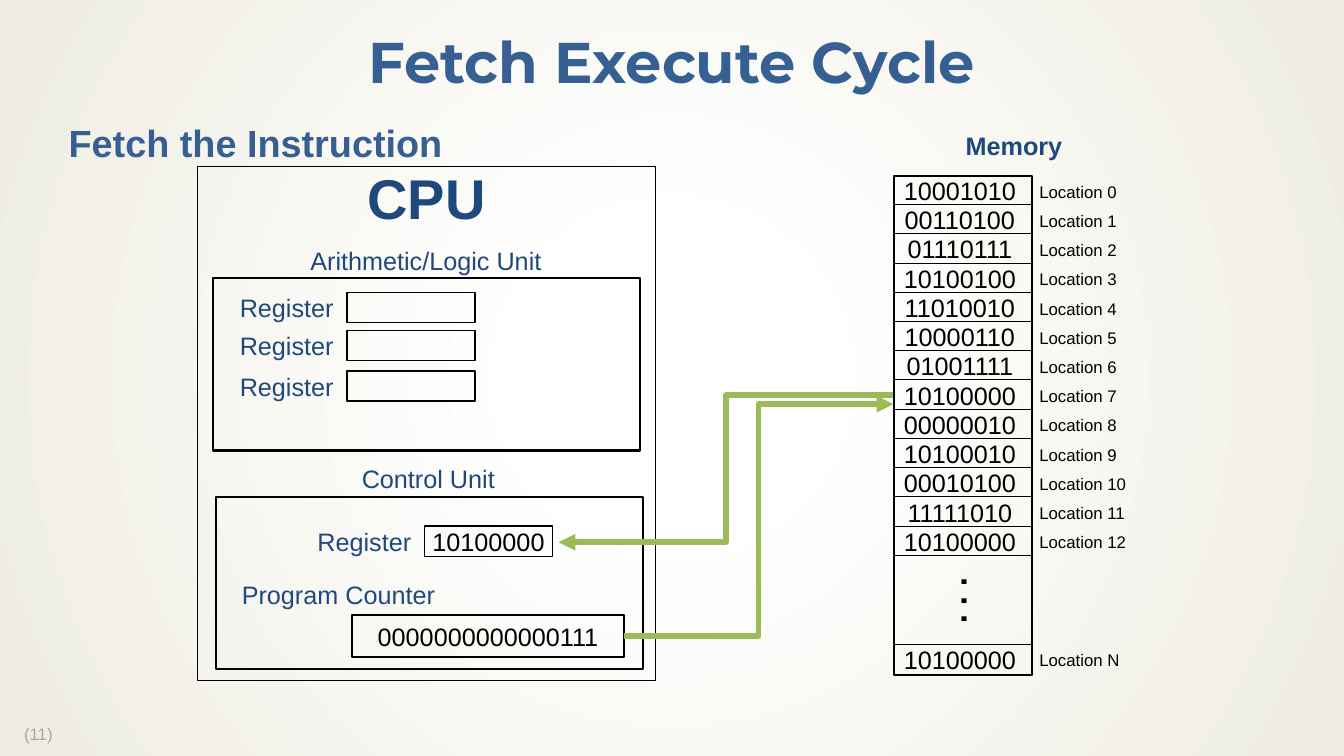
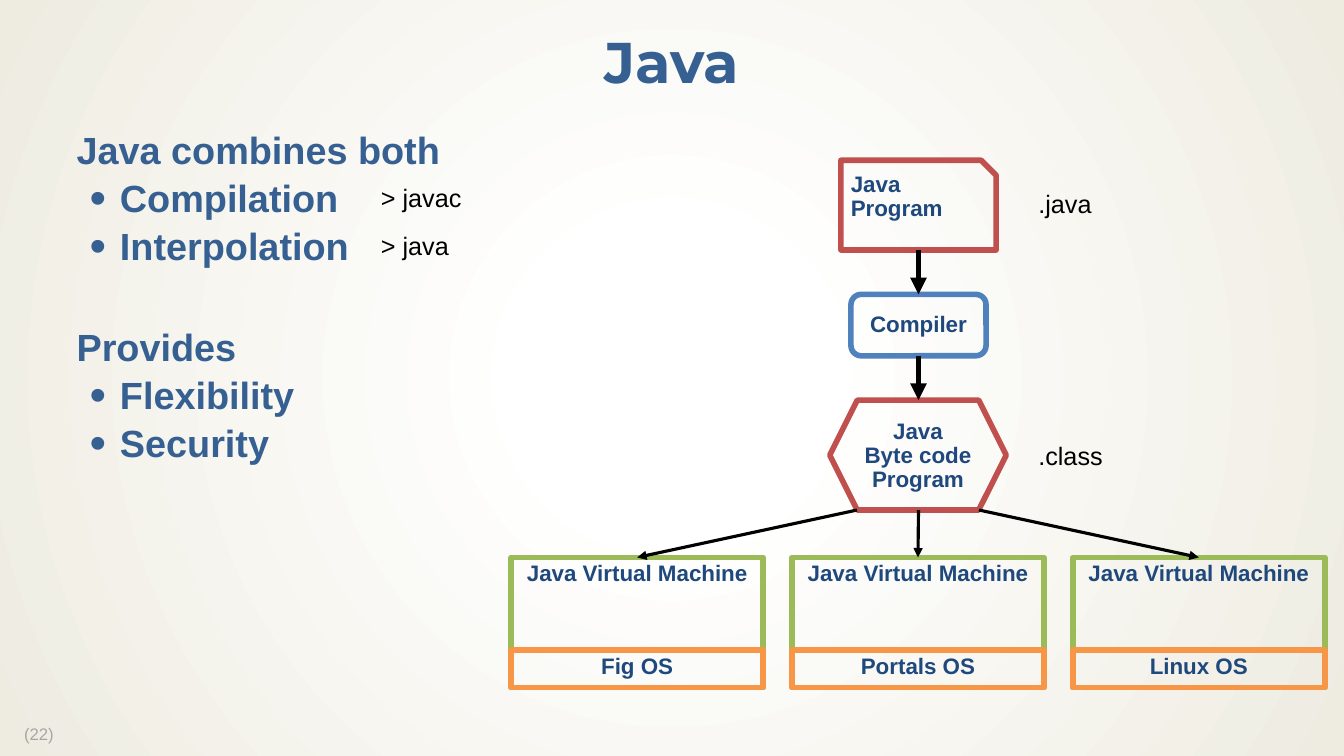
"""Build two slides: the fetch execute cycle and how Java runs."""
import lxml.etree
import pptx
import pptx.dml.color
import pptx.enum.shapes
import pptx.enum.text
import pptx.oxml.ns
import pptx.util

Inches = pptx.util.Inches
Pt = pptx.util.Pt
qn = pptx.oxml.ns.qn
SHAPE = pptx.enum.shapes.MSO_SHAPE
LINK = pptx.enum.shapes.MSO_CONNECTOR
ALIGN = pptx.enum.text.PP_ALIGN
ANCHOR = pptx.enum.text.MSO_ANCHOR

FONT, HEAD = "Arial", "Montserrat"
BLACK, NAVY, BLUE, GREY = "000000", "1F497D", "376092", "A6A6A6"
RED, SKY, GREEN, AMBER = "C0504D", "4F81BD", "9BBB59", "F79646"
WHITE, CREAM = "FFFFFF", "EEECE1"


def rgb(code):
    """Turn a hex string into a colour."""
    return pptx.dml.color.RGBColor.from_string(code)


def sub(node, tag, **attrs):
    """Add a child element with the given attributes."""
    return lxml.etree.SubElement(node, qn(tag), attrs)


def style(part, size, color, bold=False, font=FONT):
    """Format every run of a paragraph."""
    for run in part.runs:
        run.font.name = font
        run.font.size = Pt(size)
        run.font.bold = bold
        run.font.color.rgb = rgb(color)


def fill(shape, words, size, color, bold=False, font=FONT, align=ALIGN.LEFT,
         anchor=ANCHOR.TOP, pad=0.1, space=1.0):
    """Write text into a shape or text box."""
    frame = shape.text_frame
    frame.text = words
    frame.word_wrap = True
    frame.vertical_anchor = anchor
    frame.margin_left = frame.margin_right = Inches(pad)
    for part in frame.paragraphs:
        part.alignment = align
        part.line_spacing = space
        style(part, size, color, bold, font)


def label(slide, x, y, w, words, size=18, color=BLACK, h=0.4, **look):
    """Add a text box."""
    box = slide.shapes.add_textbox(Inches(x), Inches(y), Inches(w), Inches(h))
    fill(box, words, size, color, **look)
    return box


def block(slide, x, y, w, h, line=BLACK, width=1, kind=SHAPE.RECTANGLE):
    """Add an outlined shape with no fill."""
    shape = slide.shapes.add_shape(
        kind, Inches(x), Inches(y), Inches(w), Inches(h))
    shape.shadow.inherit = False
    shape.fill.background()
    shape.line.color.rgb = rgb(line)
    shape.line.width = Pt(width)
    return shape


def link(slide, start, end, color=BLACK, width=0.75, kind=LINK.STRAIGHT,
         arrow=True):
    """Add a line between two points, with or without an arrowhead."""
    wire = slide.shapes.add_connector(
        kind, *(Inches(v) for v in (*start, *end)))
    wire.line.color.rgb = rgb(color)
    wire.line.width = Pt(width)
    if arrow:
        sub(wire.line._get_or_add_ln(), "a:tailEnd", type="triangle")
    sub(wire.element.spPr, "a:effectLst")
    return wire


def body(slide, x, y, items):
    """Add the main text from (text, bulleted, space before) items."""
    box = slide.shapes.add_textbox(
        Inches(x), Inches(y), Inches(12.33), Inches(5.65))
    frame = box.text_frame
    frame.word_wrap = True
    frame.margin_left = frame.margin_right = Inches(0.12)
    frame.margin_top = Inches(0.06)
    for i, (words, dot, gap) in enumerate(items):
        part = frame.add_paragraph() if i else frame.paragraphs[0]
        part.text = words
        part.line_spacing = 0.9
        part.space_before = Pt(gap)
        props = part._p.get_or_add_pPr()
        props.set("marL", str(Inches(0.57 if dot else 0.14)))
        props.set("indent", str(Inches(-0.3 if dot else 0)))
        if dot:
            sub(props, "a:buSzPct", val="125000")
            sub(props, "a:buFont", typeface=FONT)
            sub(props, "a:buChar", char="•")
        style(part, 27, BLUE, True)


def paint(master):
    """Give the master its round cream gradient."""
    back = master.background.fill
    back.gradient()
    for stop, code, spot in zip(back.gradient_stops, (WHITE, CREAM), (0.18, 1)):
        stop.color.rgb = rgb(code)
        stop.position = spot
    grad = master.element.find(".//" + qn("a:gradFill"))
    for lin in grad.findall(qn("a:lin")):
        grad.remove(lin)
    ring = sub(grad, "a:path", path="circle")
    sub(ring, "a:fillToRect", l="50000", t="50000", r="50000", b="50000")


def start(deck, title, number):
    """Add a slide with its title and number."""
    slide = deck.slides.add_slide(deck.slide_layouts[6])
    label(slide, 0.14, 7.15, 1, f"({number})", 12, GREY, 0.28, space=0.9)
    label(slide, 0, 0.17, 13.33, title, 41, BLUE, 0.94, bold=True, font=HEAD,
          align=ALIGN.CENTER, anchor=ANCHOR.MIDDLE, space=0.9)
    return slide


def memory(slide):
    """Draw the memory column with its cells and locations."""
    left, top, step = 8.87, 1.74, 0.29
    cells = ("10001010 00110100 01110111 10100100 11010010 10000110 01001111 "
             "10100000 00000010 10100010 00010100 11111010 10100000").split()
    rows = [(top + i * step, bits, i) for i, bits in enumerate(cells)]
    rows.append((6.39, "10100000", "N"))
    label(slide, 9.48, 1.24, 1.5, "Memory", color=NAVY, bold=True)
    block(slide, left, 1.75, 1.37, 4.95, width=1.5)
    for y in [row[0] for row in rows[1:]] + [top + len(cells) * step]:
        link(slide, (left, y), (left + 1.37, y), arrow=False)
    for y, bits, name in rows:
        label(slide, 8.77, y - 0.05, 1.5, bits, align=ALIGN.CENTER)
        label(slide, 10.21, y + 0.01, 1.5, f"Location {name}", 12, h=0.3)
    dots = label(slide, 9.29, 5.76, 0.76, ". . .", 24, h=0.5, bold=True)
    dots.rotation = 90


def cpu(slide):
    """Draw the CPU, its units and registers, and the fetch arrows."""
    case = block(slide, 1.96, 1.65, 4.54, 5.1)
    fill(case, "CPU", 40, NAVY, True, align=ALIGN.CENTER, space=0.9)
    block(slide, 2.11, 2.76, 4.24, 1.71, width=1.5)
    block(slide, 2.14, 4.93, 4.24, 1.71, width=1.5)
    for x, y, words in ((2.98, 2.38, "Arithmetic/Logic Unit"),
                        (3.49, 4.55, "Control Unit"),
                        (2.3, 5.7, "Program Counter")):
        label(slide, x, y, 2.8, words, color=NAVY)
    for x, y, bits in ((3.44, 2.9, ""), (3.44, 3.28, ""), (3.44, 3.68, ""),
                       (4.21, 5.22, "10100000")):
        label(slide, x - 1.16, y - 0.05, 1.2, "Register", color=NAVY)
        cell = block(slide, x, y, 1.27, 0.3)
        if bits:
            fill(cell, bits, 18, BLACK, align=ALIGN.CENTER,
                 anchor=ANCHOR.MIDDLE, pad=0)
    count = block(slide, 3.49, 6.1, 2.7, 0.42, width=1.5)
    fill(count, "0000000000000111", 18, BLACK, align=ALIGN.CENTER,
         anchor=ANCHOR.MIDDLE)
    wire = link(slide, (6.19, 6.31), (8.86, 4.01), GREEN, 4, LINK.ELBOW)
    wire.begin_connect(count, 3)
    link(slide, (8.86, 3.92), (5.54, 5.38), GREEN, 4, LINK.ELBOW)


def flow(slide):
    """Draw the path from Java program to virtual machines."""
    look = {"size": 16, "color": NAVY, "bold": True, "space": 0.9}
    mid = 9.11
    prog = block(slide, 8.34, 1.59, 1.54, 0.89, RED, 4,
                 SHAPE.SNIP_1_RECTANGLE)
    fill(prog, "Java Program", **look)
    look["align"] = ALIGN.CENTER
    comp = block(slide, 8.44, 2.92, 1.34, 0.61, SKY, 4,
                 SHAPE.ROUNDED_RECTANGLE)
    fill(comp, "Compiler", anchor=ANCHOR.MIDDLE, **look)
    code = block(slide, 8.23, 3.97, 1.75, 1.09, RED, 4, SHAPE.HEXAGON)
    fill(code, "Java\nByte code\nProgram", **look)
    wire = link(slide, (mid, 2.48), (mid, 2.92), width=4)
    wire.begin_connect(prog, 2)
    wire.end_connect(comp, 0)
    wire = link(slide, (mid, 3.53), (mid, 3.97), width=4)
    wire.begin_connect(comp, 2)
    hosts = ("Fig OS", "Portals OS", "Linux OS")
    for i, (host, foot) in enumerate(zip(hosts, (8.5, mid, 9.71))):
        x = 5.07 + i * 2.785
        box = block(slide, x, 5.53, 2.5, 1.29, GREEN, 4)
        fill(box, "Java Virtual Machine", **look)
        base = block(slide, x, 6.45, 2.5, 0.37, AMBER, 4)
        fill(base, host, **look)
        wire = link(slide, (foot, 5.06), (x + 1.25, 5.53), width=2.25)
        wire.end_connect(box, 0)
    for x, y, words in ((10.2, 1.82, ".java"), (10.2, 4.32, ".class"),
                        (3.68, 1.76, "> javac"), (3.68, 2.24, "> java")):
        label(slide, x, y, 1.2, words)


def main():
    """Build and save the deck."""
    deck = pptx.Presentation()
    deck.slide_width, deck.slide_height = Inches(13.33), Inches(7.5)
    paint(deck.slide_master)

    slide = start(deck, "Fetch Execute Cycle", 11)
    body(slide, 0.42, 1.18, [("Fetch the Instruction", False, 0)])
    memory(slide)
    cpu(slide)

    slide = start(deck, "Java", 22)
    body(slide, 0.5, 1.25, [
        ("Java combines both", False, 0),
        ("Compilation", True, 5),
        ("Interpolation", True, 5),
        ("Provides", False, 43),
        ("Flexibility", True, 5),
        ("Security", True, 5),
    ])
    flow(slide)
    deck.save("out.pptx")


if __name__ == "__main__":
    main()
